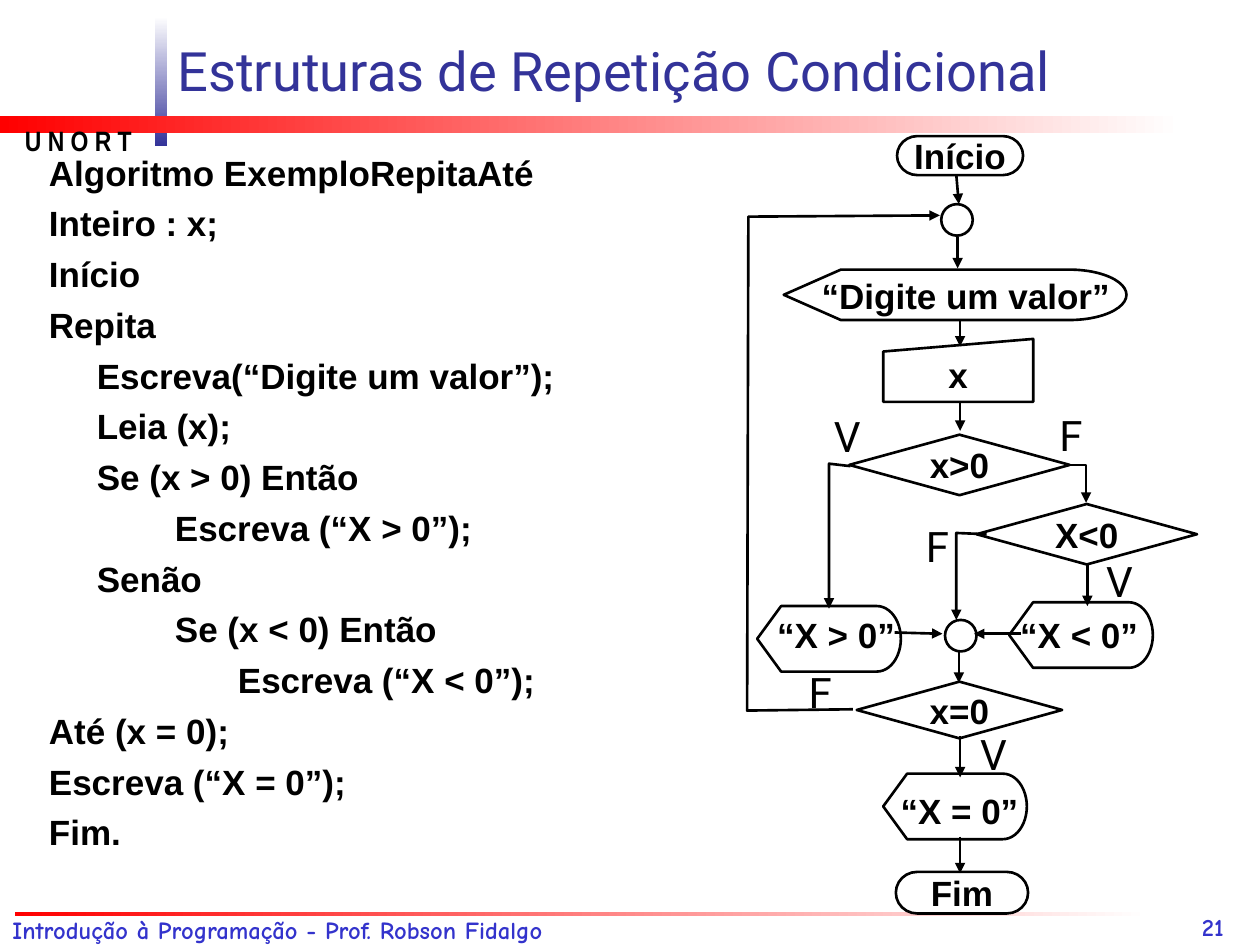
from dataclasses import dataclass
from lxml.etree import SubElement
from pptx import Presentation
from pptx.dml.color import RGBColor
from pptx.enum.shapes import MSO_CONNECTOR, MSO_SHAPE
from pptx.enum.text import MSO_ANCHOR, PP_ALIGN
from pptx.oxml.ns import qn
from pptx.util import Inches, Pt


@dataclass(frozen=True)
class Theme:
    ink: str = "000000"
    paper: str = "FFFFFF"
    navy: str = "333399"
    blue: str = "3333CC"
    red: str = "FF0000"
    sans: str = "Arial"
    narrow: str = "Arial Narrow"
    comic: str = "Comic Neue"
    light: str = "Roboto"
    title: float = 31
    branch: float = 24
    body: float = 20
    mark: float = 16
    foot: float = 14
    line: float = 1.5


def write(frame, text, font, size, color, bold=False, align=PP_ALIGN.LEFT,
          anchor=MSO_ANCHOR.TOP, wrap=False, indents=None, before=0):
    frame.word_wrap = wrap
    frame.vertical_anchor = anchor
    for i, part in enumerate(text.split("\n")):
        para = frame.add_paragraph() if i else frame.paragraphs[0]
        para.alignment = align
        para.space_before = Pt(before)
        if indents:
            props = para._p.get_or_add_pPr()
            props.set("marL", str(Inches(indents[i])))
            props.set("indent", "0")
        run = para.add_run()
        run.text = part
        run.font.name = font
        run.font.size = Pt(size)
        run.font.bold = bold
        run.font.color.rgb = RGBColor.from_string(color)


class Canvas:
    def __init__(self, slide, theme):
        self.slide = slide
        self.theme = theme

    def stroke(self, item):
        item.line.color.rgb = RGBColor.from_string(self.theme.ink)
        item.line.width = Pt(self.theme.line)

    def tip(self, item):
        self.stroke(item)
        SubElement(item.line._get_or_add_ln(), qn("a:tailEnd"), type="triangle")

    def band(self, box, first, last, angle=0):
        item = self.slide.shapes.add_shape(MSO_SHAPE.RECTANGLE, *map(Inches, box))
        item.shadow.inherit = False
        item.line.fill.background()
        item.fill.gradient()
        item.fill.gradient_angle = angle
        for stop, color in zip(item.fill.gradient_stops, (first, last)):
            stop.color.rgb = RGBColor.from_string(color)

    def text(self, box, text, **style):
        item = self.slide.shapes.add_textbox(*map(Inches, box))
        write(item.text_frame, text, **style)

    def node(self, kind, box, text=""):
        item = self.slide.shapes.add_shape(kind, *map(Inches, box))
        item.shadow.inherit = False
        item.fill.solid()
        item.fill.fore_color.rgb = RGBColor.from_string(self.theme.paper)
        self.stroke(item)
        if text:
            write(item.text_frame, text, font=self.theme.sans, size=self.theme.body,
                  color=self.theme.ink, bold=True, align=PP_ALIGN.CENTER,
                  anchor=MSO_ANCHOR.MIDDLE)

    def arrow(self, start, end):
        item = self.slide.shapes.add_connector(
            MSO_CONNECTOR.STRAIGHT, *map(Inches, start + end))
        self.tip(item)
        SubElement(item._element.spPr, qn("a:effectLst"))

    def route(self, points):
        spots = [(Inches(x), Inches(y)) for x, y in points]
        pen = self.slide.shapes.build_freeform(*spots[0])
        pen.add_line_segments(spots[1:], close=False)
        item = pen.convert_to_shape()
        item.shadow.inherit = False
        item.fill.background()
        self.tip(item)


CODE = [
    ("Algoritmo ExemploRepitaAté", 0),
    ("Inteiro : x;", 0),
    ("Início", 0),
    ("Repita", 0),
    ("Escreva(“Digite um valor”);", 1),
    ("Leia (x);", 1),
    ("Se (x > 0) Então", 1),
    ("Escreva (“X > 0”);", 2),
    ("Senão", 1),
    ("Se (x < 0) Então", 2),
    ("Escreva (“X < 0”);", 3),
    ("Até (x = 0);", 0),
    ("Escreva (“X = 0”);", 0),
    ("Fim.", 0),
]
STEPS = (0, 0.38, 1, 1.5)

NODES = [
    (MSO_SHAPE.FLOWCHART_TERMINATOR, (7.12, 1.08, 1, 0.31), "Início"),
    (MSO_SHAPE.FLOWCHART_CONNECTOR, (7.47, 1.62, 0.25, 0.25), ""),
    (MSO_SHAPE.FLOWCHART_DISPLAY, (6.22, 2.14, 2.72, 0.4), ""),
    (MSO_SHAPE.FLOWCHART_MANUAL_INPUT, (7.01, 2.69, 1.19, 0.5), ""),
    (MSO_SHAPE.FLOWCHART_DECISION, (6.74, 3.45, 1.75, 0.48), "x>0"),
    (MSO_SHAPE.FLOWCHART_DECISION, (7.75, 4, 1.75, 0.48), "X<0"),
    (MSO_SHAPE.FLOWCHART_DISPLAY, (6.01, 4.81, 1.14, 0.52), ""),
    (MSO_SHAPE.FLOWCHART_CONNECTOR, (7.5, 4.92, 0.25, 0.25), ""),
    (MSO_SHAPE.FLOWCHART_DISPLAY, (8.01, 4.78, 1.14, 0.52), ""),
    (MSO_SHAPE.FLOWCHART_DECISION, (6.8, 5.41, 1.63, 0.45), "x=0"),
    (MSO_SHAPE.FLOWCHART_DISPLAY, (7.01, 6.14, 1.14, 0.52), ""),
    (MSO_SHAPE.FLOWCHART_TERMINATOR, (7.11, 6.92, 1.05, 0.33), "Fim"),
]

ARROWS = [
    ((7.59, 1.39), (7.61, 1.62)),
    ((7.6, 1.88), (7.6, 2.13)),
    ((7.62, 2.54), (7.62, 2.75)),
    ((7.62, 3.19), (7.62, 3.42)),
    ((8.63, 4.48), (8.63, 4.81)),
    ((7.1, 5.02), (7.48, 5.03)),
    ((8.1, 5.03), (7.73, 5.03)),
    ((7.61, 5.17), (7.61, 5.42)),
    ((7.62, 5.84), (7.62, 6.17)),
    ((7.62, 6.64), (7.62, 6.93)),
]

ROUTES = [
    [(6.77, 5.63), (5.93, 5.64), (5.94, 1.72), (7.46, 1.71)],
    [(8.49, 3.69), (8.62, 3.69), (8.62, 3.99)],
    [(6.75, 3.7), (6.58, 3.68), (6.58, 4.83)],
    [(7.83, 4.24), (7.59, 4.23), (7.59, 4.92)],
]

LABELS = [
    ((6.32, 2.13, 2.69, 0.44), "“Digite um valor”"),
    ((7.33, 2.76, 0.55, 0.44), "x"),
    ((5.97, 4.82, 1.33, 0.44), "“X > 0”"),
    ((7.9, 4.82, 1.33, 0.44), "“X < 0”"),
    ((6.95, 6.22, 1.33, 0.44), "“X = 0”"),
]

BRANCHES = [
    (6.52, 3.21, "V"), (8.31, 3.2, "F"), (7.25, 4.08, "F"),
    (8.68, 4.36, "V"), (6.32, 5.24, "F"), (7.68, 5.73, "V"),
]


def main():
    deck = Presentation()
    deck.slide_width, deck.slide_height = Inches(10), Inches(7.5)
    theme = Theme()
    page = Canvas(deck.slides.add_slide(deck.slide_layouts[6]), theme)
    strong = dict(font=theme.sans, size=theme.body, color=theme.ink, bold=True)
    foot = dict(font=theme.comic, size=theme.foot, color=theme.blue,
                bold=True, wrap=True)

    page.band((1.23, 0.13, 0.1, 1.03), theme.paper, theme.navy, angle=270)
    page.band((0, 0.92, 9.38, 0.14), theme.red, theme.paper)
    page.band((0.12, 7.24, 9, 0.03), theme.red, theme.paper)
    page.text((0.1, 0.93, 1.3, 0.37), "U N O R T", font=theme.narrow,
              size=theme.mark, color=theme.ink, bold=True)
    page.text((1.31, 0.18, 8.69, 0.68), "Estruturas de Repetição Condicional",
              font=theme.light, size=theme.title, color=theme.navy,
              anchor=MSO_ANCHOR.BOTTOM, wrap=True)
    page.text((0.29, 1.15, 5.5, 5.92), "\n".join(line for line, _ in CODE),
              indents=[STEPS[level] for _, level in CODE], before=5,
              wrap=True, **strong)

    for kind, box, text in NODES:
        page.node(kind, box, text)
    for start, end in ARROWS:
        page.arrow(start, end)
    for points in ROUTES:
        page.route(points)
    for box, text in LABELS:
        page.text(box, text, align=PP_ALIGN.CENTER, **strong)
    for left, top, text in BRANCHES:
        page.text((left, top, 0.4, 0.5), text, font=theme.light,
                  size=theme.branch, color=theme.ink)

    page.text((0, 7.21, 6.27, 0.34),
              "Introdução à Programação - Prof. Robson Fidalgo", **foot)
    page.text((9.44, 7.02, 0.56, 0.5), "21", anchor=MSO_ANCHOR.BOTTOM, **foot)
    deck.save("out.pptx")


if __name__ == "__main__":
    main()
